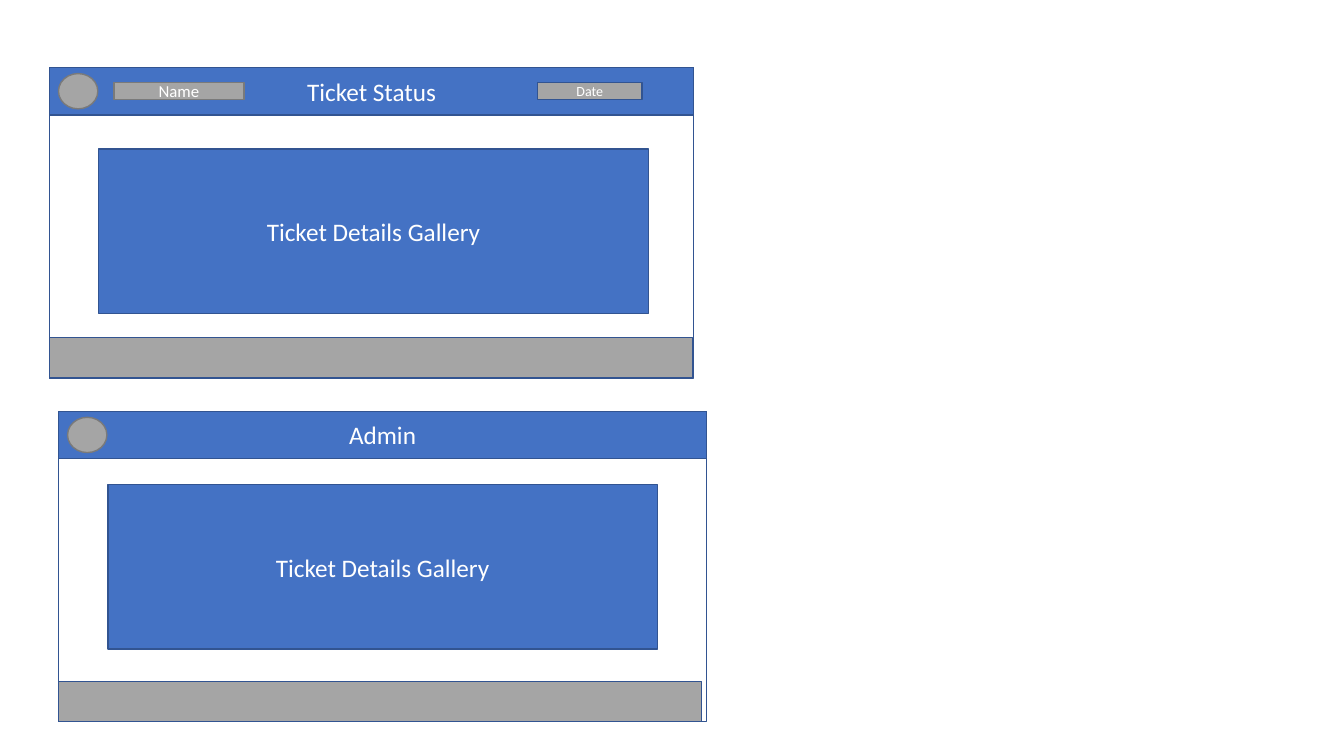
import dataclasses

import pptx
import pptx.dml.color
import pptx.enum.shapes
import pptx.enum.text
import pptx.util

Inches = pptx.util.Inches
RECTANGLE = pptx.enum.shapes.MSO_SHAPE.RECTANGLE
OVAL = pptx.enum.shapes.MSO_SHAPE.OVAL


@dataclasses.dataclass(frozen=True)
class Theme:
    font: str = "Calibri"
    blue: str = "4472C4"
    blue_line: str = "325491"
    gray: str = "A5A5A5"
    gray_line: str = "7A7A7A"
    text: str = "FFFFFF"
    line_width: float = 1
    heading_size: int = 18
    name_size: int = 12
    date_size: int = 10


THEME = Theme()


def color(value):
    return pptx.dml.color.RGBColor.from_string(value)


def add_part(slide, box, fill=None, line=THEME.blue_line, text="",
             size=THEME.heading_size, kind=RECTANGLE):
    """Add one outlined shape, with an optional fill and centred label."""
    shape = slide.shapes.add_shape(kind, *map(Inches, box))
    shape.shadow.inherit = False
    if fill:
        shape.fill.solid()
        shape.fill.fore_color.rgb = color(fill)
    else:
        shape.fill.background()
    shape.line.color.rgb = color(line)
    shape.line.width = pptx.util.Pt(THEME.line_width)
    if text:
        frame = shape.text_frame
        frame.word_wrap = True
        frame.vertical_anchor = pptx.enum.text.MSO_ANCHOR.MIDDLE
        paragraph = frame.paragraphs[0]
        paragraph.alignment = pptx.enum.text.PP_ALIGN.CENTER
        run = paragraph.add_run()
        run.text = text
        run.font.color.rgb = color(THEME.text)
        font_format = {"name": THEME.font, "size": pptx.util.Pt(size)}
        for attribute, value in font_format.items():
            setattr(run.font, attribute, value)


def add_header(slide, box, title):
    """Title bar with a round avatar at its left end."""
    left, top, width, height = box
    add_part(slide, box, THEME.blue, text=title)
    add_part(slide, (left + 0.09, top + 0.06, 0.39, 0.35), THEME.gray,
             THEME.gray_line, kind=OVAL)


def add_header_labels(slide, box):
    """Name and date fields inside the title bar."""
    left, top, width, height = box
    add_part(slide, (left + 0.64, top + 0.15, 1.29, 0.17), THEME.gray,
             THEME.gray_line, "Name", THEME.name_size)
    add_part(slide, (left + width - 1.55, top + 0.15, 1.04, 0.17), THEME.gray,
             text="Date", size=THEME.date_size)


def add_screen(slide, box, title, gallery_offset, with_labels=False):
    """App screen: footer, frame, header and gallery."""
    left, top, width, height = box
    header = (left, top, width, 0.47)
    footer_height = 0.4
    add_part(slide, (left, top + height - footer_height, 6.38, footer_height),
             THEME.gray)
    add_part(slide, box)
    add_header(slide, header, title)
    if with_labels:
        add_header_labels(slide, header)
    add_part(slide, (left + 0.49, top + gallery_offset, 5.45, 1.63),
             THEME.blue, text="Ticket Details Gallery")


def main():
    presentation = pptx.Presentation()
    presentation.slide_width = Inches(13.33)
    presentation.slide_height = Inches(7.5)
    slide = presentation.slides.add_slide(presentation.slide_layouts[6])

    add_screen(slide, (0.49, 0.67, 6.39, 3.08), "Ticket Status", 0.81,
               with_labels=True)
    add_screen(slide, (0.58, 4.08, 6.43, 3.08), "Admin", 0.73)

    presentation.save("out.pptx")


if __name__ == "__main__":
    main()
